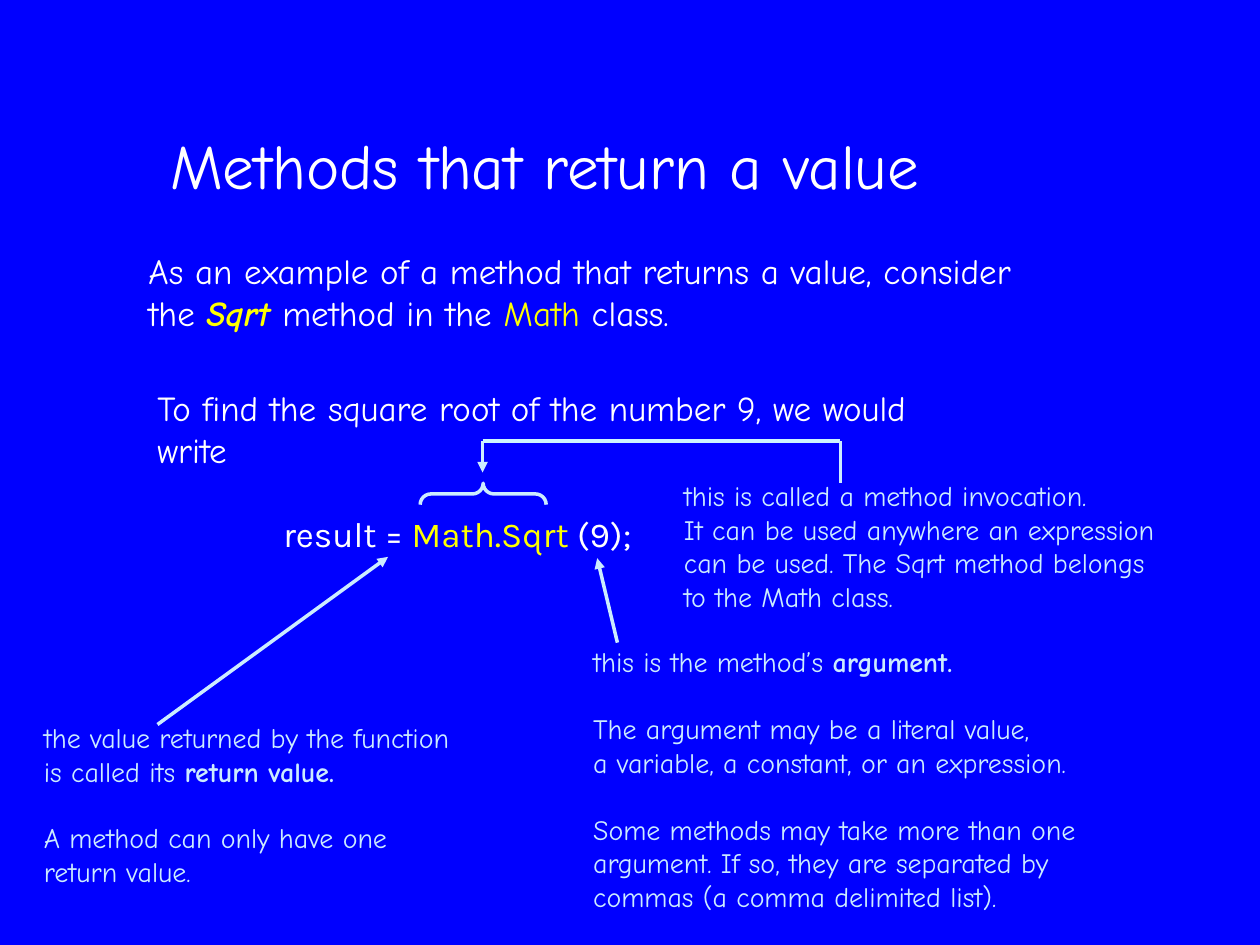
from pptx import Presentation
from pptx.dml.color import RGBColor as RGB
from pptx.enum.shapes import MSO_CONNECTOR as Conn, MSO_SHAPE as Shape
from pptx.enum.text import MSO_ANCHOR as Anchor, PP_ALIGN as Align
from pptx.oxml.ns import qn
from pptx.util import Inches, Pt
from lxml import etree

COLORS = {"back": "0000FF", "text": "FFFFFF", "code": "FFFF00",
          "note": "CCECFF", "bar": "CCF5FF"}
HAND, SANS = "Comic Neue", "Karla"


def add_text(box, size, color, paras):
    """Each paragraph is a list of (text, style) runs; styles: code, bold, italic."""
    left, top, width, height = [Inches(v) for v in box]
    frame = slide.shapes.add_textbox(left, top, width, height).text_frame
    frame.word_wrap = True
    for i, runs in enumerate(paras):
        para = frame.paragraphs[0] if i == 0 else frame.add_paragraph()
        for text, style in runs:
            run = para.add_run()
            run.text = text
            font = run.font
            font.name, font.size = HAND, Pt(size)
            font.bold, font.italic = "bold" in style, "italic" in style
            font.color.rgb = RGB.from_string(COLORS["code" if "code" in style else color])
    return frame


def add_line(start, end, color="note", arrow=False):
    x1, y1, x2, y2 = [Inches(v) for v in start + end]
    line = slide.shapes.add_connector(Conn.STRAIGHT, x1, y1, x2, y2)
    line.line.color.rgb = RGB.from_string(COLORS[color])
    line.line.width = Pt(2)
    if arrow:
        tail = etree.SubElement(line.line._get_or_add_ln(), qn("a:tailEnd"))
        tail.set("type", "triangle")
    etree.SubElement(line._element.spPr, qn("a:effectLst"))


prs = Presentation()
prs.slide_width, prs.slide_height = Inches(10), Inches(7.5)
slide = prs.slides.add_slide(prs.slide_layouts[5])
slide.background.fill.solid()
slide.background.fill.fore_color.rgb = RGB.from_string(COLORS["back"])

# Title
title = slide.shapes.title
title.left, title.top = Inches(1.25), Inches(0.68)
title.width, title.height = Inches(8.84), Inches(1.25)
title.text_frame.text = "Methods that return a value"
title.text_frame.vertical_anchor = Anchor.MIDDLE
head = title.text_frame.paragraphs[0]
head.alignment = Align.LEFT
font = head.runs[0].font
font.name, font.size = HAND, Pt(36)
font.color.rgb = RGB.from_string(COLORS["text"])

# Introduction
add_text((1.08, 1.93, 7.69, 0.77), 20, "text", [
    [("As an example of a method that returns a value, consider", "")],
    [("the ", ""), ("Sqrt ", "code bold italic"), ("method in the ", ""),
     ("Math ", "code"), ("class.", "")],
])

# Statement, indented under its lead-in
lead = add_text((1.15, 3.02, 6.81, 1.45), 20, "text", [
    [("To find the square root of the number 9, we would", "")],
    [("write", "")],
    [("result = ", ""), ("Math.Sqrt", "code"), (" (9);", "")],
])
code = lead.paragraphs[2]
code.space_before = Pt(24)
code._p.get_or_add_pPr().set("marL", str(Inches(1)))
for run in code.runs:
    run.font.name = SANS

# Notes: place, lines, and the lines that follow a gap
notes = [
    ((4.61, 5.07, 4.33, 2.24), [
        [("this is the method’s ", ""), ("argument.", "bold")],
        [("The argument may be a literal value,", "")],
        [("a variable, a constant, or an expression.", "")],
        [("Some methods may take more than one", "")],
        [("argument. If so, they are separated by", "")],
        [("commas (a comma delimited list).", "")],
    ], (1, 3)),
    ((0.25, 5.67, 3.79, 1.44), [
        [("the value returned by the function", "")],
        [("is called its ", ""), ("return value.", "bold")],
        [("A method can only have one", "")],
        [("return value.", "")],
    ], (2,)),
    ((5.33, 3.75, 4.26, 1.18), [
        [("this is called a method invocation.", "")],
        [("It can be used anywhere an expression", "")],
        [("can be used. The Sqrt method belongs", "")],
        [("to the Math class.", "")],
    ], ()),
]
for box, paras, gaps in notes:
    frame = add_text(box, 16, "note", paras)
    for i in gaps:
        frame.paragraphs[i].space_before = Pt(19)

# Brace over the call
brace = slide.shapes.add_shape(Shape.RIGHT_BRACE, Inches(3.75), Inches(3.42),
                               Inches(0.17), Inches(1))
brace.rotation = 270
brace.adjustments[0] = brace.adjustments[1] = 0.5
brace.shadow.inherit = False
brace.fill.background()
brace.line.color.rgb = RGB.from_string(COLORS["note"])
brace.line.width = Pt(2)

# Path from the invocation note to the brace
add_line((3.83, 3.5), (3.83, 3.75), arrow=True)
add_line((3.83, 3.5), (6.67, 3.5), "bar")
add_line((6.67, 3.5), (6.67, 3.83))

# Arrows from the argument and return value notes
add_line((4.9, 5.1), (4.74, 4.43), arrow=True)
add_line((1.25, 5.75), (3.08, 4.42), arrow=True)

prs.save("out.pptx")
